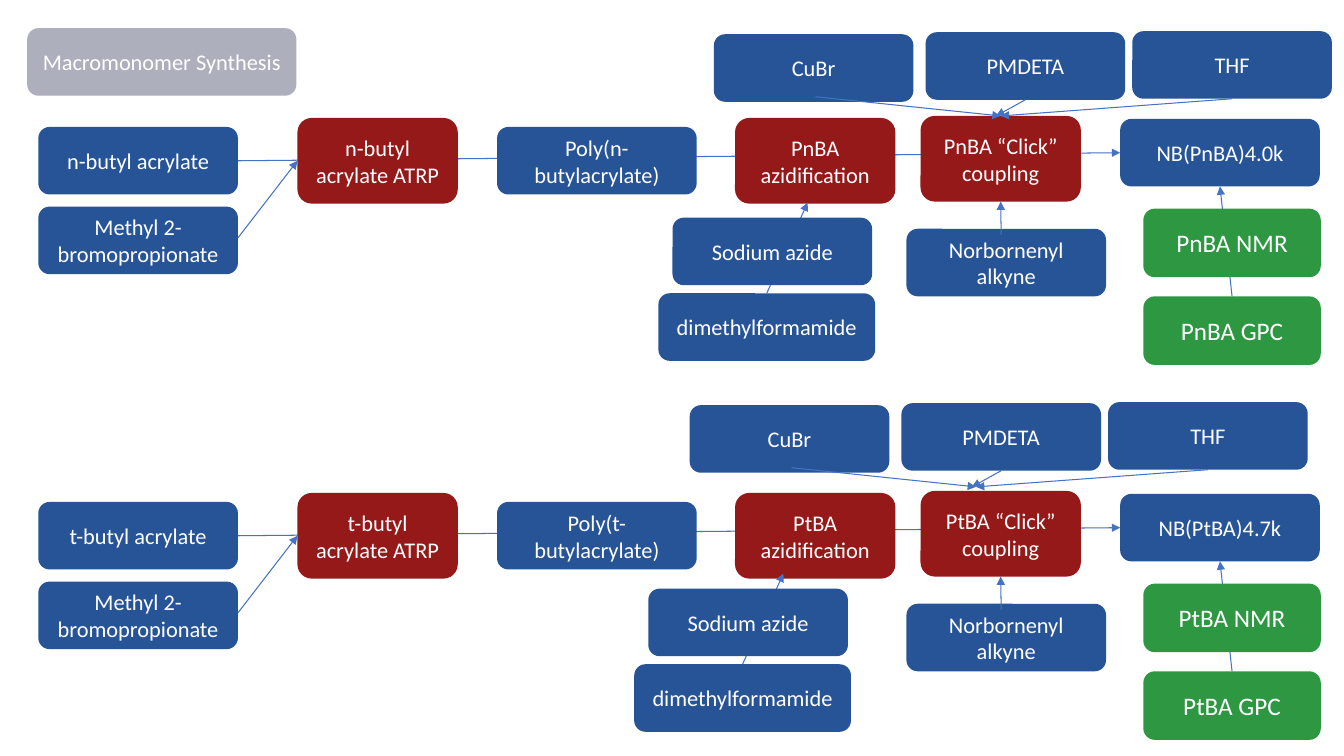
"""Build a slide with the two macromonomer synthesis routes as flow diagrams."""
from lxml import etree
from pptx import Presentation
from pptx import util as u
from pptx.dml.color import RGBColor
from pptx.enum import shapes, text
from pptx.oxml import ns

THEME = {
    "font": "Calibri", "ink": "FFFFFF", "wire": "4472C4", "wire_pt": 0.75,
    "title": ("ADAFBD", 16), "material": ("275497", 16),
    "reaction": ("951919", 16), "analysis": ("2D9742", 18),
}
SIZES = {"title": (2.67, 0.67), "material": (1.98, 0.67), "reaction": (1.59, 0.85),
         "analysis": (1.76, 0.68), "wide": (2.15, 0.67)}
TOP, LEFT, BOTTOM, RIGHT = range(4)
CM_PER_INCH = 2.54

TITLE = ("Macromonomer Synthesis", "title", 0.27, 0.28)
ROUTES = [
    {"letter": "n", "mass": "4.0", "main": (0, 0), "reagents": (0, 0),
     "tip": ("coupling", TOP)},
    {"letter": "t", "mass": "4.7", "main": (0, 3.72), "reagents": (-0.24, 3.68),
     "tip": (9.92, 1.15)},
]
BOXES = {
    "main": [
        ("atrp", "{letter}-butyl acrylate ATRP", "reaction", 2.95, 1.17),
        ("monomer", "{letter}-butyl acrylate", "material", 0.38, 1.26),
        ("initiator", "Methyl 2-bromopropionate", "material", 0.38, 2.05),
        ("polymer", "Poly({letter}-butylacrylate)", "material", 4.93, 1.26),
        ("azidification", "P{letter}BA azidification", "reaction", 7.29, 1.17),
        ("coupling", "P{letter}BA “Click” coupling", "reaction", 9.13, 1.15),
        ("alkyne", "Norbornenyl alkyne", "material", 8.99, 2.27),
        ("product", "NB(P{letter}BA){mass}k", "material", 11.11, 1.18),
        ("nmr", "P{letter}BA NMR", "analysis", 11.34, 2.07),
        ("gpc", "P{letter}BA GPC", "analysis", 11.34, 2.94),
    ],
    "reagents": [
        ("azide", "Sodium azide", "material", 6.67, 2.16),
        ("dmf", "dimethylformamide", "wide", 6.53, 2.91),
        ("cubr", "CuBr", "material", 7.08, 0.34),
        ("pmdeta", "PMDETA", "material", 9.18, 0.32),
        ("thf", "THF", "material", 11.23, 0.31),
    ],
}
# Each arrow: start, end, and the box it runs behind.
ARROWS = {
    "main": [
        (("monomer", RIGHT), ("product", LEFT), "atrp"),
        (("gpc", TOP), ("product", BOTTOM), "atrp"),
        ((2.36, 2.36), ("atrp", LEFT), None),
        ((9.93, 2.33), ("coupling", BOTTOM), None),
    ],
    "reagents": [
        (("dmf", TOP), (8.01, 2.01), "azide"),
        (("pmdeta", BOTTOM), (9.88, 1.15), None),
        (("thf", BOTTOM), "tip", None),
        ((8.09, 0.96), "tip", None),
    ],
}


def length(inches):
    return u.Cm(inches * CM_PER_INCH)


def add_box(page, label, kind, left, top):
    fill, size = THEME["material" if kind == "wide" else kind]
    box = page.shapes.add_shape(shapes.MSO_SHAPE.ROUNDED_RECTANGLE,
                                *map(length, (left, top, *SIZES[kind])))
    box.shadow.inherit = False
    box.fill.solid()
    box.fill.fore_color.rgb = RGBColor.from_string(fill)
    box.line.fill.background()
    box.text_frame.word_wrap = True
    box.text_frame.vertical_anchor = text.MSO_ANCHOR.MIDDLE
    para = box.text_frame.paragraphs[0]
    para.alignment = text.PP_ALIGN.CENTER
    span = para.add_run()
    span.text = label
    span.font.name = THEME["font"]
    span.font.size = u.Pt(size)
    span.font.color.rgb = RGBColor.from_string(THEME["ink"])
    return box


def add_arrow(page, boxes, start, end, behind, shift):
    ends = []
    for spot in (start, end):
        joined = isinstance(spot[0], str)
        ends += (0, 0) if joined else [length(a + b) for a, b in zip(spot, shift)]
    arrow = page.shapes.add_connector(shapes.MSO_CONNECTOR.STRAIGHT, *ends)
    for spot, join in ((start, arrow.begin_connect), (end, arrow.end_connect)):
        if isinstance(spot[0], str):
            join(boxes[spot[0]], spot[1])
    arrow.line.color.rgb = RGBColor.from_string(THEME["wire"])
    arrow.line.width = u.Pt(THEME["wire_pt"])
    etree.SubElement(arrow.line._get_or_add_ln(), ns.qn("a:tailEnd"), type="triangle")
    etree.SubElement(arrow._element.spPr, ns.qn("a:effectLst"))
    if behind:
        boxes[behind]._element.addprevious(arrow._element)


def add_route(page, route):
    boxes = {}
    for group, rows in BOXES.items():
        dx, dy = route[group]
        for name, label, kind, left, top in rows:
            wording = label.format(letter=route["letter"], mass=route["mass"])
            boxes[name] = add_box(page, wording, kind, left + dx, top + dy)
    for group, rows in ARROWS.items():
        for start, end, behind in rows:
            end = route["tip"] if end == "tip" else end
            add_arrow(page, boxes, start, end, behind, route[group])


def main():
    deck = Presentation()
    deck.slide_width, deck.slide_height = length(13.33), length(7.5)
    page = deck.slides.add_slide(deck.slide_layouts[6])
    add_box(page, *TITLE)
    for route in ROUTES:
        add_route(page, route)
    deck.save("out.pptx")


if __name__ == "__main__":
    main()
